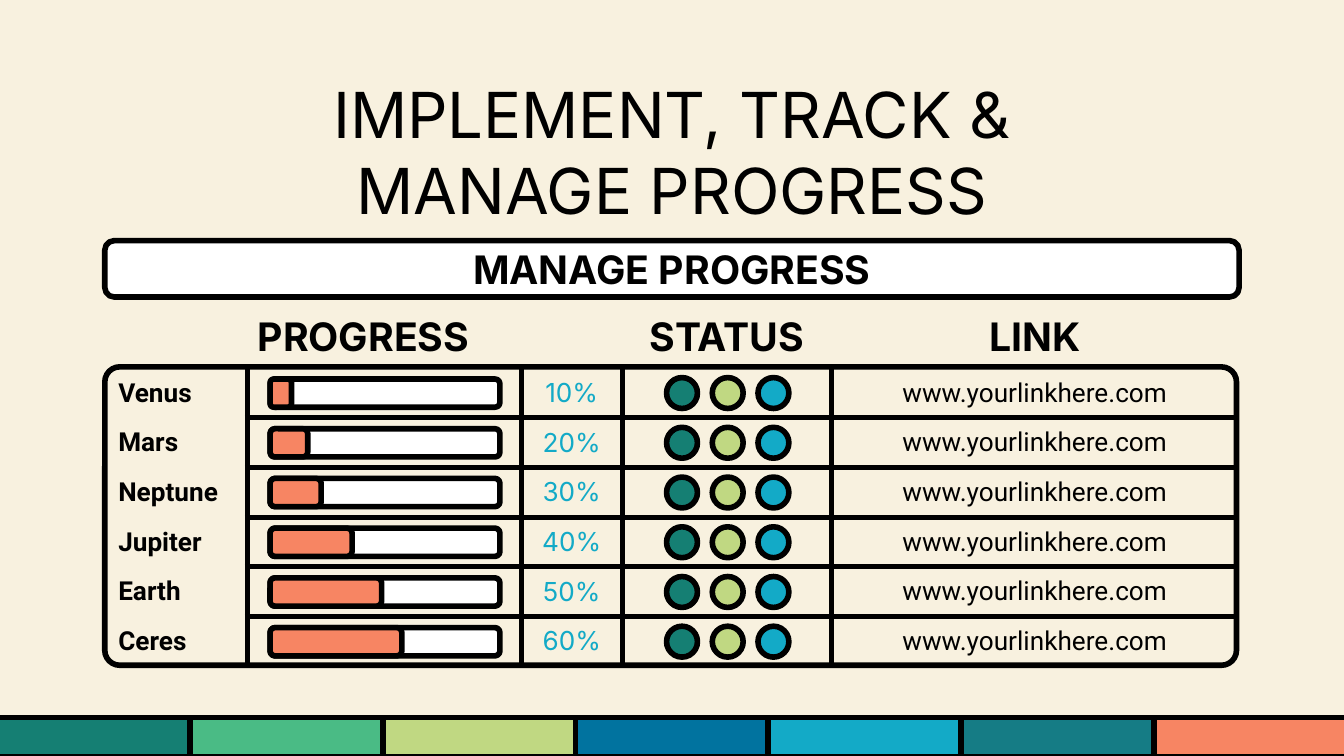
from pptx import Presentation
from pptx.dml.color import RGBColor
from pptx.enum.shapes import MSO_SHAPE as SHAPE
from pptx.enum.text import MSO_ANCHOR as ANCHOR, PP_ALIGN as ALIGN
from pptx.oxml import parse_xml
from pptx.oxml.ns import nsdecls
from pptx.util import Inches, Pt

BLACK = RGBColor(0x00, 0x00, 0x00)
WHITE = RGBColor(0xFF, 0xFF, 0xFF)
CREAM = RGBColor(0xF8, 0xF1, 0xDF)
GREEN = RGBColor(0x15, 0x7F, 0x73)
MINT = RGBColor(0x4A, 0xBB, 0x85)
LIME = RGBColor(0xC0, 0xD8, 0x82)
BLUE = RGBColor(0x01, 0x73, 0x9F)
CYAN = RGBColor(0x13, 0xAA, 0xC7)
TEAL = RGBColor(0x15, 0x7C, 0x85)
CORAL = RGBColor(0xF7, 0x85, 0x63)

TITLE = "IMPLEMENT, TRACK & MANAGE PROGRESS"
BANNER = "MANAGE PROGRESS"
HEADERS = {0: "PROGRESS", 3: "STATUS", 4: "LINK"}
LINK = "www.yourlinkhere.com"
# planet, progress label, length of the filled bar
PLANETS = [
    ("Venus", "10%", 0.16),
    ("Mars", "20%", 0.28),
    ("Neptune", "30%", 0.38),
    ("Jupiter", "40%", 0.61),
    ("Earth", "50%", 0.83),
    ("Ceres", "60%", 0.98),
]
STATUS_COLORS = [GREEN, LIME, CYAN]
FOOTER_COLORS = [GREEN, MINT, LIME, BLUE, CYAN, TEAL, CORAL]

SLIDE_WIDTH = 10
SLIDE_HEIGHT = SLIDE_WIDTH * 9 / 16
LEFT = 0.78
TABLE_TOP = 2.28
COLUMN_WIDTHS = [1.06, 2.04, 0.75, 1.56, 3.02]
HEADER_HEIGHT, ROW_HEIGHT = 0.46, 0.37
BAR_LEFT, BAR_TOP, BAR_WIDTH, BAR_HEIGHT = 2.01, 2.82, 1.71, 0.21
DOT_LEFT, DOT_TOP, DOT_SIZE, DOT_STEP = 4.96, 2.81, 0.23, 0.34
FOOTER_LEFT, FOOTER_TOP, FOOTER_HEIGHT = -0.02, 5.34, 0.29
FOOTER_STEP = (SLIDE_WIDTH - 2 * FOOTER_LEFT) / len(FOOTER_COLORS)
LINE_WIDTH = Pt(3)


def write(frame, text, size, font="Inter", color=BLACK, bold=False, align=ALIGN.CENTER):
    frame.text = text
    paragraph = frame.paragraphs[0]
    paragraph.alignment = align
    for run in paragraph.runs:
        run.font.size = Pt(size)
        run.font.name = font
        run.font.bold = bold
        run.font.color.rgb = color


def set_margins(target, size):
    for side in ("left", "right", "top", "bottom"):
        setattr(target, f"margin_{side}", Inches(size))


def add_outlined(slide, kind, left, top, width, height, fill=None, rounding=None):
    shape = slide.shapes.add_shape(
        kind, Inches(left), Inches(top), Inches(width), Inches(height))
    shape.shadow.inherit = False
    if fill is None:
        shape.fill.background()
    else:
        shape.fill.solid()
        shape.fill.fore_color.rgb = fill
    shape.line.color.rgb = BLACK
    shape.line.width = LINE_WIDTH
    if rounding is not None:
        shape.adjustments[0] = rounding
    return shape


def set_borders(cell, sides):
    """Draw the borders named in sides (L, R, T, B) and hide the others."""
    properties = cell._tc.get_or_add_tcPr()
    for position, side in enumerate("LRTB"):
        paint = ('<a:solidFill><a:srgbClr val="000000"/></a:solidFill>'
                 if side in sides else "<a:noFill/>")
        properties.insert(position, parse_xml(
            f'<a:ln{side} {nsdecls("a")} w="{LINE_WIDTH}">{paint}</a:ln{side}>'))


def body_borders(row, column):
    if column == 0:
        return "R"
    sides = "L"
    if column < len(COLUMN_WIDTHS) - 1:
        sides += "R"
    if row > 1:
        sides += "T"
    if row < len(PLANETS):
        sides += "B"
    return sides


def add_progress_table(slide):
    row_count = len(PLANETS) + 1
    table = slide.shapes.add_table(
        row_count, len(COLUMN_WIDTHS), Inches(LEFT), Inches(TABLE_TOP),
        Inches(sum(COLUMN_WIDTHS)),
        Inches(HEADER_HEIGHT + ROW_HEIGHT * len(PLANETS))).table
    table.first_row = table.horz_banding = False
    for column, width in zip(table.columns, COLUMN_WIDTHS):
        column.width = Inches(width)
    for index, row in enumerate(table.rows):
        row.height = Inches(ROW_HEIGHT if index else HEADER_HEIGHT)
        for column, cell in enumerate(row.cells):
            set_margins(cell, 0)
            cell.vertical_anchor = ANCHOR.MIDDLE
            cell.fill.background()
            set_borders(cell, body_borders(index, column) if index else "")

    table.cell(0, 0).merge(table.cell(0, 2))
    for column, header in HEADERS.items():
        write(table.cell(0, column).text_frame, header, 21, bold=True)
    for row, (planet, percent, _) in enumerate(PLANETS, start=1):
        planet_cell = table.cell(row, 0)
        planet_cell.margin_left = Inches(0.1)
        write(planet_cell.text_frame, planet, 14, "Roboto", bold=True, align=ALIGN.LEFT)
        write(table.cell(row, 2).text_frame, percent, 14, color=CYAN)
        write(table.cell(row, 4).text_frame, LINK, 14, "Roboto")


def main():
    deck = Presentation()
    deck.slide_width, deck.slide_height = Inches(SLIDE_WIDTH), Inches(SLIDE_HEIGHT)
    slide = deck.slides.add_slide(deck.slide_layouts[6])
    slide.background.fill.solid()
    slide.background.fill.fore_color.rgb = CREAM

    for index, color in enumerate(FOOTER_COLORS):
        add_outlined(slide, SHAPE.RECTANGLE, FOOTER_LEFT + index * FOOTER_STEP,
                     FOOTER_TOP, FOOTER_STEP, FOOTER_HEIGHT, color)

    add_outlined(slide, SHAPE.ROUNDED_RECTANGLE, LEFT, 2.73, 8.42, 2.22, rounding=0.05)
    banner = add_outlined(slide, SHAPE.ROUNDED_RECTANGLE, LEFT, 1.79, 8.44, 0.42,
                          WHITE, 0.17).text_frame
    set_margins(banner, 0.1)
    banner.vertical_anchor = ANCHOR.MIDDLE
    write(banner, BANNER, 21, bold=True)

    title = slide.shapes.add_textbox(
        Inches(1.32), Inches(0.46), Inches(7.36), Inches(1.25)).text_frame
    title.word_wrap = True
    set_margins(title, 0.1)
    write(title, TITLE, 34)

    add_progress_table(slide)
    for row, (_, _, filled) in enumerate(PLANETS):
        offset = row * ROW_HEIGHT
        for index, color in enumerate(STATUS_COLORS):
            add_outlined(slide, SHAPE.OVAL, DOT_LEFT + index * DOT_STEP,
                         DOT_TOP + offset, DOT_SIZE, DOT_SIZE, color)
        for width, color in ((BAR_WIDTH, WHITE), (filled, CORAL)):
            add_outlined(slide, SHAPE.ROUNDED_RECTANGLE, BAR_LEFT, BAR_TOP + offset,
                         width, BAR_HEIGHT, color, 0.17)

    deck.save("out.pptx")


if __name__ == "__main__":
    main()
